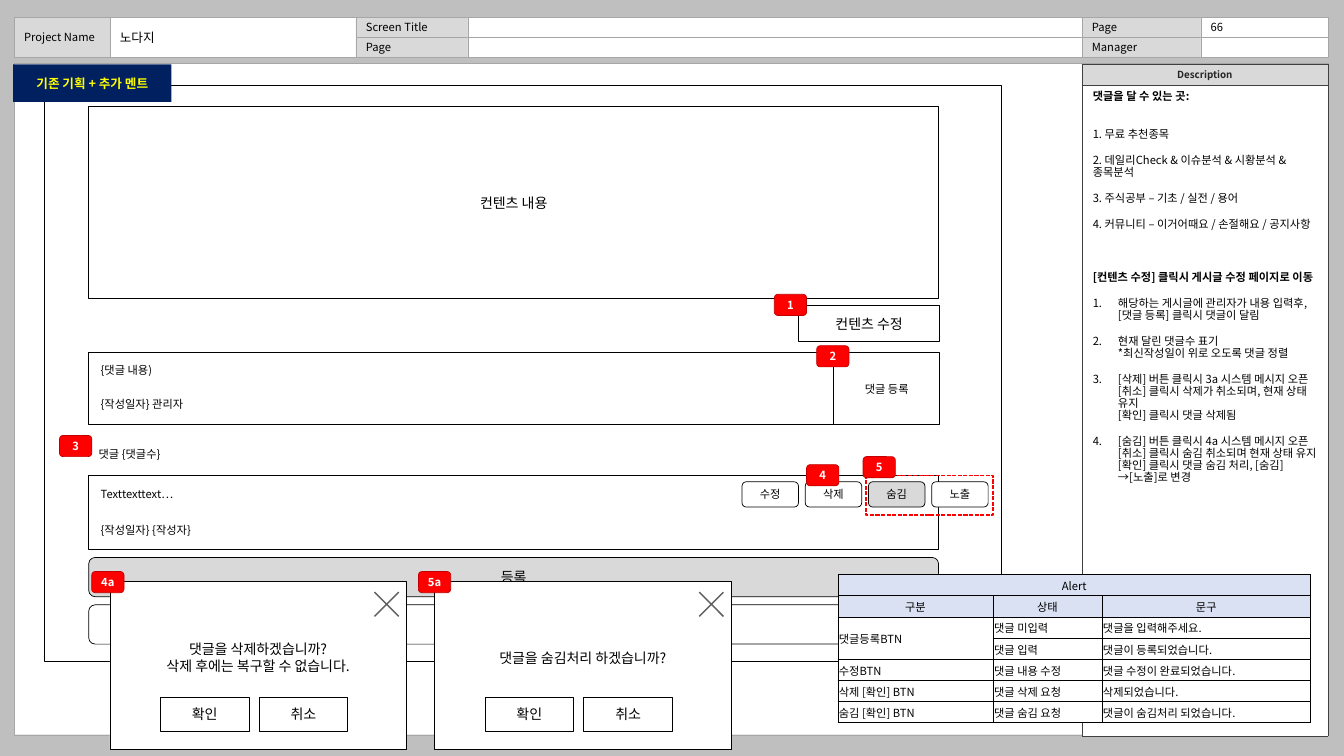
from copy import deepcopy
from dataclasses import dataclass

from lxml import etree
from pptx import Presentation
from pptx.dml.color import RGBColor
from pptx.enum.dml import MSO_LINE
from pptx.enum.shapes import MSO_SHAPE
from pptx.enum.text import MSO_ANCHOR, PP_ALIGN
from pptx.oxml.ns import qn
from pptx.util import Emu, Inches, Pt

RECT, ROUND = MSO_SHAPE.RECTANGLE, MSO_SHAPE.ROUNDED_RECTANGLE
LEFT, CENTER = PP_ALIGN.LEFT, PP_ALIGN.CENTER
TOP, MIDDLE = MSO_ANCHOR.TOP, MSO_ANCHOR.MIDDLE
DASH = MSO_LINE.SQUARE_DOT
FONT = "Noto Sans CJK KR"
WHITE, BLACK, GRAY, EDGE = "FFFFFF", "000000", "D9D9D9", "A6A6A6"
GRID_COLUMNS, GRID_ROWS = 133.3, 75
CELL = Inches(0.1)


@dataclass
class Box:
    at: tuple
    text: str = ""
    size: float = 8
    fill: str | None = WHITE
    line: str | None = BLACK
    weight: float = 0.5
    kind: int = RECT
    align: int = CENTER
    color: str = BLACK
    bold: bool = False
    dash: int | None = None
    inset: tuple = (1, 0.5)


@dataclass
class Note:
    text: str
    gap: float = 10
    bold: bool = False
    numbered: bool = False


@dataclass
class Grid:
    at: tuple
    columns: tuple
    rows: tuple
    texts: tuple
    headers: int
    header_fill: str
    edge: str
    weight: float
    size: float
    color: str
    bold: bool
    margins: tuple


def span(cells: float) -> Emu:
    return Emu(round(cells * CELL))


def paint(target, color: str) -> None:
    target.solid()
    target.fore_color.rgb = RGBColor.from_string(color)


def apply(target, values: dict) -> None:
    for name, value in values.items():
        setattr(target, name, value)


def write(para, text: str, size: float, color: str, bold: bool, layout: dict) -> None:
    para.text = text
    apply(para, layout)
    for run in para.runs:
        apply(run.font, {"name": FONT, "size": Pt(size), "bold": bold})
        paint(run.font.fill, color)
        etree.SubElement(run.font._element, qn("a:ea"), typeface=FONT)
    for line_break in para._p.findall(qn("a:br")):
        line_break.append(deepcopy(para.runs[0].font._element))


def set_frame(frame, anchor: int, inset: tuple) -> None:
    side, end = map(span, inset)
    apply(frame, {"word_wrap": True, "vertical_anchor": anchor, "margin_left": side,
                  "margin_right": side, "margin_top": end, "margin_bottom": end})


def draw_box(page, box: Box) -> None:
    shape = page.shapes.add_shape(box.kind, *map(span, box.at))
    shape.shadow.inherit = False
    if box.fill:
        paint(shape.fill, box.fill)
    else:
        shape.fill.background()
    if box.line:
        paint(shape.line.fill, box.line)
        apply(shape.line, {"width": Pt(box.weight), "dash_style": box.dash})
    else:
        shape.line.fill.background()
    if box.text:
        frame = shape.text_frame
        set_frame(frame, MIDDLE, box.inset)
        for index, text in enumerate(box.text.split("\n")):
            para = frame.add_paragraph() if index else frame.paragraphs[0]
            write(para, text, box.size, box.color, box.bold, {"alignment": box.align})


def draw_grid(page, grid: Grid, merges: tuple = ()) -> None:
    size = sum(grid.columns), sum(grid.rows)
    table = page.shapes.add_table(len(grid.rows), len(grid.columns),
                                  *map(span, grid.at + size)).table
    apply(table, {"first_row": False, "horz_banding": False})
    for column, width in zip(table.columns, grid.columns):
        column.width = span(width)
    for row, height in zip(table.rows, grid.rows):
        row.height = span(height)
    for r, texts in enumerate(grid.texts):
        for c, text in enumerate(texts):
            cell = table.cell(r, c)
            properties = cell._tc.get_or_add_tcPr()
            for side in "LRTB":
                edge = etree.SubElement(properties, qn(f"a:ln{side}"), w=str(Pt(grid.weight)))
                solid = etree.SubElement(edge, qn("a:solidFill"))
                etree.SubElement(solid, qn("a:srgbClr"), val=grid.edge)
            header = r < grid.headers
            paint(cell.fill, grid.header_fill if header else WHITE)
            names = ("margin_left", "margin_top", "margin_right", "margin_bottom")
            apply(cell, dict(zip(names, map(span, grid.margins))))
            cell.vertical_anchor = MIDDLE
            if text:
                write(cell.text_frame.paragraphs[0], text, grid.size, grid.color, grid.bold,
                      {"alignment": CENTER if header else LEFT})
    for first, last in merges:
        table.cell(*first).merge(table.cell(*last))


def draw_notes(page, at: tuple, notes: list) -> None:
    frame = page.shapes.add_textbox(*map(span, at)).text_frame
    set_frame(frame, TOP, (1, 0.5))
    for index, note in enumerate(notes):
        para = frame.add_paragraph() if index else frame.paragraphs[0]
        if note.numbered:
            properties = para._p.get_or_add_pPr()
            properties.set("marL", str(span(2.5)))
            properties.set("indent", str(span(-2.5)))
            etree.SubElement(properties, qn("a:buAutoNum"), type="arabicPeriod")
        write(para, note.text, 8, BLACK, note.bold,
              {"line_spacing": 0.9, "space_before": Pt(note.gap)})


def draw_close(page, x: float, y: float) -> None:
    arm = [(-1.15, -1.25), (-1.25, -1.15), (-0.1, 0)]
    points = []
    for _ in range(4):
        points += arm
        arm = [(across, -down) for down, across in arm]
    outline = [(span(x + across), span(y + down)) for across, down in points]
    builder = page.shapes.build_freeform(*outline[0])
    builder.add_line_segments(outline[1:], close=True)
    cross = builder.convert_to_shape()
    cross.shadow.inherit = False
    paint(cross.fill, "5F5F5F")
    cross.line.fill.background()


def draw_dialog(page, x: float, y: float, message: str) -> None:
    draw_box(page, Box((x, y, 29.4, 16.6)))
    draw_box(page, Box((x + 2.2, y + 4.75, 25, 5.6), message, 10, line=None))
    draw_close(page, x + 27.45, y + 2.25)
    for offset, label in ((5, "확인"), (14.8, "취소")):
        draw_box(page, Box((x + offset, y + 11.45, 8.8, 3.4), label, 10))


def header_box(at: tuple, text: str = "", fill: str | None = WHITE, size: float = 8) -> Box:
    return Box(at, text, size, fill, EDGE, 0.25, align=LEFT)


def label_box(at: tuple, text: str) -> Box:
    return Box(at, text, line=None, align=LEFT)


HEADER = [
    header_box((1.4, 6.3, 130.3, 66.6)),
    header_box((10.9, 1.7, 24.6, 4), "노다지", size=9),
    header_box((1.4, 1.7, 9.5, 4), "Project Name", GRAY),
    *(header_box((x, y, 11.8, 2), text, GRAY) for x, y, text in (
        (35.3, 1.7, "Screen Title"), (35.3, 3.7, "Page"),
        (107.3, 1.7, "Page"), (107.3, 3.7, "Manager"))),
    *(header_box((x, y, width, 2), text) for x, y, width, text in (
        (46.4, 1.7, 60.9, ""), (46.4, 3.7, 60.9, ""),
        (119.1, 1.7, 12.6, "66"), (119.1, 3.7, 12.6, ""))),
]
WIREFRAME = [
    Box((79.2, 30.3, 14, 3.6), "컨텐츠 수정", 10),
    Box((4.4, 8.5, 94.9, 57.1), fill=None),
    Box((8.8, 10.6, 84.3, 19), "컨텐츠 내용", 10),
    Box((8.8, 55.3, 84.3, 3.9), "등록", 10, GRAY, kind=ROUND),
    Box((8.8, 60, 84.3, 3.9), kind=ROUND),
    label_box((8.8, 43.6, 9.3, 2.9), "댓글 {댓글수}"),
    Box((8.8, 35, 84.3, 7.1)),
    Box((8.8, 47.2, 84.3, 7.3)),
    *(label_box((9, y, 26.2, 3.3), text) for y, text in (
        (35.1, "{댓글 내용)"), (38.4, "{작성일자} 관리자"),
        (47.4, "Texttexttext…"), (50.9, "{작성일자} {작성자}"))),
    Box((82.7, 35, 10.5, 7.1), "댓글 등록"),
    *(Box((73.6 + 6.27 * index, 47.8, 5.6, 2.5), text, fill=GRAY if text == "숨김" else WHITE,
          kind=ROUND) for index, text in enumerate(("수정", "삭제", "숨김", "노출"))),
    Box((85.9, 47.2, 12.6, 3.9), fill=None, line="FF0000", weight=1, dash=DASH),
]
BADGES = [
    Box((x, y, 3.2, 2.1), text, fill="FF0000", line="C00000", kind=ROUND, color=WHITE,
        bold=True, inset=(0, 0)) for x, y, text in (
        (76.8, 29.2, "1"), (81, 34.3, "2"), (5.9, 43.2, "3"), (80, 46.1, "4"),
        (85.6, 45.3, "5"), (9.1, 56.7, "4a"), (41.5, 56.7, "5a"))
]
TAG = Box((1.3, 6.4, 15.7, 3.7), "기존 기획 + 추가 멘트", 9, "002060", None, color="FFFF00", bold=True)
NOTES = [
    Note("댓글을 달 수 있는 곳:", 0, True),
    Note("1. 무료 추천종목", 18.7),
    Note("2. 데일리Check & 이슈분석 & 시황분석 & 종목분석"),
    Note("3. 주식공부 – 기초 / 실전 / 용어"),
    Note("4. 커뮤니티 – 이거어때요 / 손절해요 / 공지사항"),
    Note("[컨텐츠 수정] 클릭시 게시글 수정 페이지로 이동", 28.7, True),
    *(Note(text, numbered=True) for text in (
        "해당하는 게시글에 관리자가 내용 입력후, [댓글 등록] 클릭시 댓글이 달림",
        "현재 달린 댓글수 표기\n*최신작성일이 위로 오도록 댓글 정렬",
        "[삭제] 버튼 클릭시 3a 시스템 메시지 오픈\n[취소] 클릭시 삭제가 취소되며, 현재 상태 유지\n"
        "[확인] 클릭시 댓글 삭제됨",
        "[숨김] 버튼 클릭시 4a 시스템 메시지 오픈\n[취소] 클릭시 숨김 취소되며 현재 상태 유지\n"
        "[확인] 클릭시 댓글 숨김 처리, [숨김] →[노출]로 변경")),
]
DESCRIPTION = Grid((107.3, 6.4), (24.4,), (2, 64.6), (("Description",), ("",)), 1, GRAY,
                   "404040", 0.25, 7, "262626", True, (0.5, 0.3, 0.5, 0.3))
ALERT = Grid((83.1, 57), (15.4, 10.8, 20.7), (2.1,) * 7, (
    ("Alert", "", ""),
    ("구분", "상태", "문구"),
    ("댓글등록BTN", "댓글 미입력", "댓글을 입력해주세요."),
    ("", "댓글 입력", "댓글이 등록되었습니다."),
    ("수정BTN", "댓글 내용 수정", "댓글 수정이 완료되었습니다."),
    ("삭제 [확인] BTN", "댓글 삭제 요청", "삭제되었습니다."),
    ("숨김 [확인] BTN", "댓글 숨김 요청", "댓글이 숨김처리 되었습니다."),
), 2, "D9E1F2", BLACK, 0.5, 8, BLACK, False, (0.1, 0.1, 0.1, 0))


def main() -> None:
    deck = Presentation()
    apply(deck, {"slide_width": span(GRID_COLUMNS), "slide_height": span(GRID_ROWS)})
    page = deck.slides.add_slide(deck.slide_layouts[6])
    paint(page.background.fill, "BFBFBF")
    for box in HEADER:
        draw_box(page, box)
    draw_grid(page, DESCRIPTION)
    draw_notes(page, (107.4, 8.5, 24.3, 64.3), NOTES)
    for box in WIREFRAME:
        draw_box(page, box)
    draw_dialog(page, 10.9, 57.7, "댓글을 삭제하겠습니까?\n삭제 후에는 복구할 수 없습니다.")
    draw_grid(page, ALERT, (((0, 0), (0, 2)), ((2, 0), (3, 0))))
    draw_dialog(page, 43.1, 57.7, "댓글을 숨김처리 하겠습니까?")
    for box in (*BADGES, TAG):
        draw_box(page, box)
    deck.save("out.pptx")


if __name__ == "__main__":
    main()
